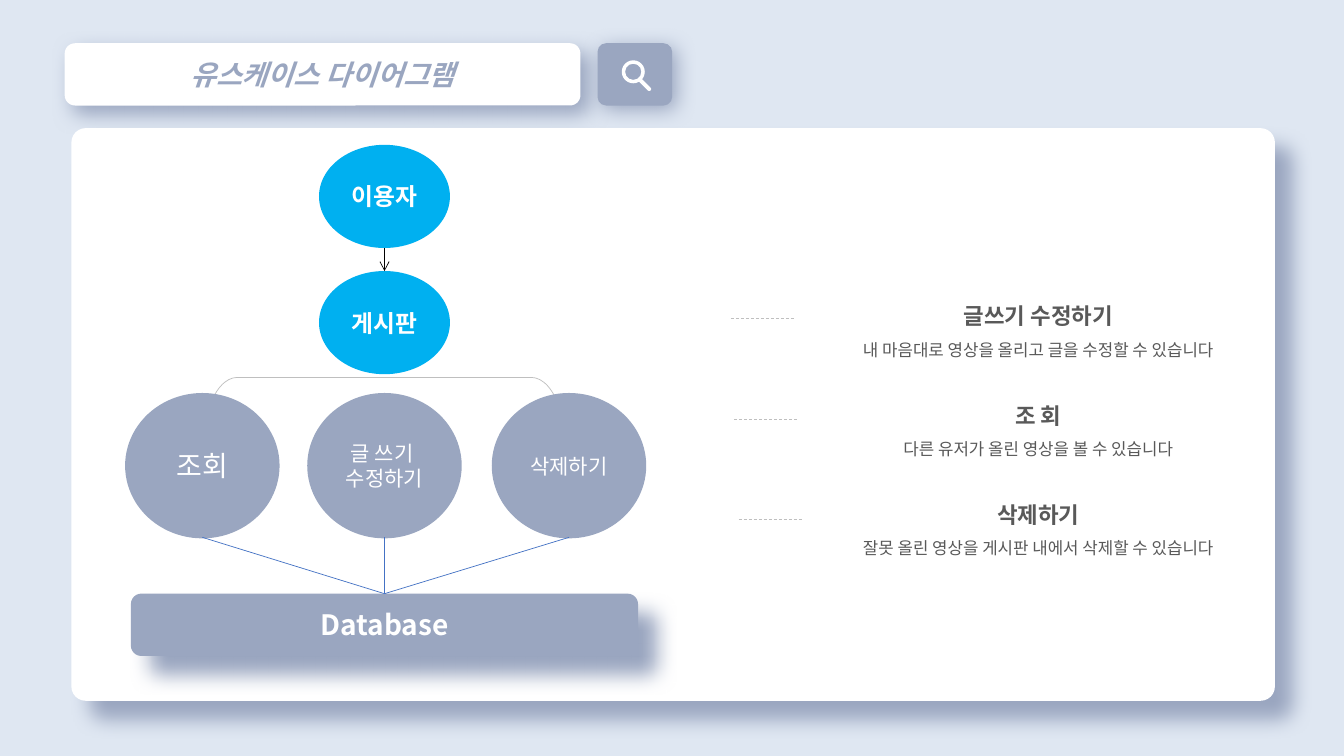
from lxml.etree import SubElement
from pptx import Presentation
from pptx.dml.color import RGBColor
from pptx.enum.dml import MSO_LINE
from pptx.enum.shapes import MSO_CONNECTOR, MSO_SHAPE
from pptx.enum.text import MSO_AUTO_SIZE, PP_ALIGN
from pptx.oxml.ns import qn
from pptx.util import Cm, Pt

FONT = "Noto Sans CJK KR"
COLORS = {
    "background": "DFE7F2", "white": "FFFFFF", "slate": "9AA6C0", "sky": "00B0F0",
    "gray": "BFBFBF", "text": "595959", "black": "000000", "link": "4472C4",
}
TITLE = "유스케이스 다이어그램"
ACTORS = ["이용자", "게시판"]
ACTIONS = [
    (5.1, ["조회"], 20),
    (9.69, ["글 쓰기 ", "수정하기"], 15),
    (14.34, ["삭제하기"], 15),
]
STORE = "Database"
NOTES = [
    (18.42, "글쓰기 수정하기", "내 마음대로 영상을 올리고 글을 수정할 수 있습니다"),
    (18.5, "조 회", "다른 유저가 올린 영상을 볼 수 있습니다"),
    (18.62, "삭제하기", "잘못 올린 영상을 게시판 내에서 삭제할 수 있습니다"),
]

AXIS = 9.69
ACTOR_WIDTH, ACTOR_HEIGHT, ACTOR_TOP, ACTOR_PITCH = 3.3, 2.6, 3.65, 3.18
ACTION_WIDTH, ACTION_HEIGHT, ACTION_TOP = 3.84, 3.61, 9.93
STORE_TOP = 14.96
NOTE_TOP, NOTE_PITCH = 7.16, 2.5
DASH_TOP, DASH_PITCH, DASH_WIDTH = 8.03, 2.53, 1.6


def color(name):
    return RGBColor.from_string(COLORS[name])


def add_shadow(shape, distance):
    effects = shape._element.spPr.find(qn("a:effectLst"))
    shadow = SubElement(effects, qn("a:outerShdw"), blurRad=str(Pt(15)), dist=str(Pt(distance)),
                        dir="2700000", algn="tl", rotWithShape="0")
    SubElement(shadow, qn("a:srgbClr"), val=COLORS["slate"])


def add_block(slide, kind, box, fill=None, line=None, width=0.5, corner=None, shadow=None):
    shape = slide.shapes.add_shape(kind, *map(Cm, box))
    shape.shadow.inherit = False
    if fill:
        shape.fill.solid()
        shape.fill.fore_color.rgb = color(fill)
    else:
        shape.fill.background()
    if line:
        shape.line.color.rgb = color(line)
        shape.line.width = Pt(width)
    else:
        shape.line.fill.background()
    if corner is not None:
        shape.adjustments[0] = corner
    if shadow:
        add_shadow(shape, shadow)
    return shape


def write(shape, lines, ink, spacing=None):
    frame = shape.text_frame
    frame.word_wrap = True
    frame.text = "\n".join(text for text, *_ in lines)
    for paragraph, (_, size, bold) in zip(frame.paragraphs, lines):
        paragraph.alignment = PP_ALIGN.CENTER
        if spacing:
            paragraph.line_spacing = spacing
        font = paragraph.font
        font.name, font.size, font.bold = FONT, Pt(size), bold
        font.color.rgb = color(ink)
        SubElement(font._element, qn("a:ea"), typeface=FONT)


def add_line(slide, start, end, ink, dashed=False, arrow=False):
    line = slide.shapes.add_connector(MSO_CONNECTOR.STRAIGHT, *map(Cm, start + end))
    line.line.color.rgb = color(ink)
    line.line.width = Pt(0.5)
    if dashed:
        line.line.dash_style = MSO_LINE.DASH
    if arrow:
        SubElement(line.line._get_or_add_ln(), qn("a:tailEnd"), type="arrow")
    SubElement(line._element.spPr, qn("a:effectLst"))


def add_header(slide):
    rounded = MSO_SHAPE.ROUNDED_RECTANGLE
    title = add_block(slide, rounded, (1.63, 1.09, 13, 1.57), "white", corner=0.167, shadow=8)
    write(title, [(TITLE, 20, True)], "slate")
    title.text_frame.paragraphs[0].font.italic = True
    add_block(slide, rounded, (15.06, 1.09, 1.88, 1.57), "slate", corner=0.138, shadow=4)
    add_block(slide, MSO_SHAPE.DONUT, (15.67, 1.52, 0.58, 0.58), "white", corner=0.148)
    handle = add_block(slide, rounded, (16.2, 1.93, 0.1, 0.41), "white", corner=0.5)
    handle.rotation = 315
    add_block(slide, rounded, (1.8, 3.23, 30.33, 14.43), "white", corner=0.025, shadow=19)


def add_notes(slide):
    for row, (left, heading, detail) in enumerate(NOTES):
        height = DASH_TOP + row * DASH_PITCH
        add_line(slide, (left, height), (left + DASH_WIDTH, height), "gray", dashed=True)
        box = (20.24, NOTE_TOP + row * NOTE_PITCH, 11.86, 2.06)
        note = slide.shapes.add_textbox(*map(Cm, box))
        write(note, [(heading, 16, True), (detail, 12, False)], "text", spacing=1.5)
        note.text_frame.auto_size = MSO_AUTO_SIZE.SHAPE_TO_FIT_TEXT


def add_diagram(slide):
    bracket = add_block(slide, MSO_SHAPE.RIGHT_BRACKET, (8.86, 5.79, 1.65, 9.09),
                        line="gray", corner=0.51)
    bracket.rotation = 270
    for row, name in enumerate(ACTORS):
        top = ACTOR_TOP + row * ACTOR_PITCH
        box = (AXIS - ACTOR_WIDTH / 2, top, ACTOR_WIDTH, ACTOR_HEIGHT)
        write(add_block(slide, MSO_SHAPE.OVAL, box, "sky"), [(name, 17, True)], "white")
    add_line(slide, (AXIS, ACTOR_TOP + ACTOR_HEIGHT), (AXIS, ACTOR_TOP + ACTOR_PITCH),
             "black", arrow=True)
    store = add_block(slide, MSO_SHAPE.ROUNDED_RECTANGLE, (3.3, STORE_TOP, 12.78, 1.57),
                      "slate", shadow=19)
    write(store, [(STORE, 20, True)], "white")
    for center, lines, size in ACTIONS:
        box = (center - ACTION_WIDTH / 2, ACTION_TOP, ACTION_WIDTH, ACTION_HEIGHT)
        action = add_block(slide, MSO_SHAPE.OVAL, box, "slate", line="slate", width=1.5)
        write(action, [(text, size, False) for text in lines], "white")
        add_line(slide, (center, ACTION_TOP + ACTION_HEIGHT), (AXIS, STORE_TOP), "link")


def main():
    """Build the use case diagram slide."""
    presentation = Presentation()
    presentation.slide_width, presentation.slide_height = Cm(33.87), Cm(19.05)
    slide = presentation.slides.add_slide(presentation.slide_layouts[6])
    slide.background.fill.solid()
    slide.background.fill.fore_color.rgb = color("background")
    add_header(slide)
    add_notes(slide)
    add_diagram(slide)
    presentation.save("out.pptx")


if __name__ == "__main__":
    main()
